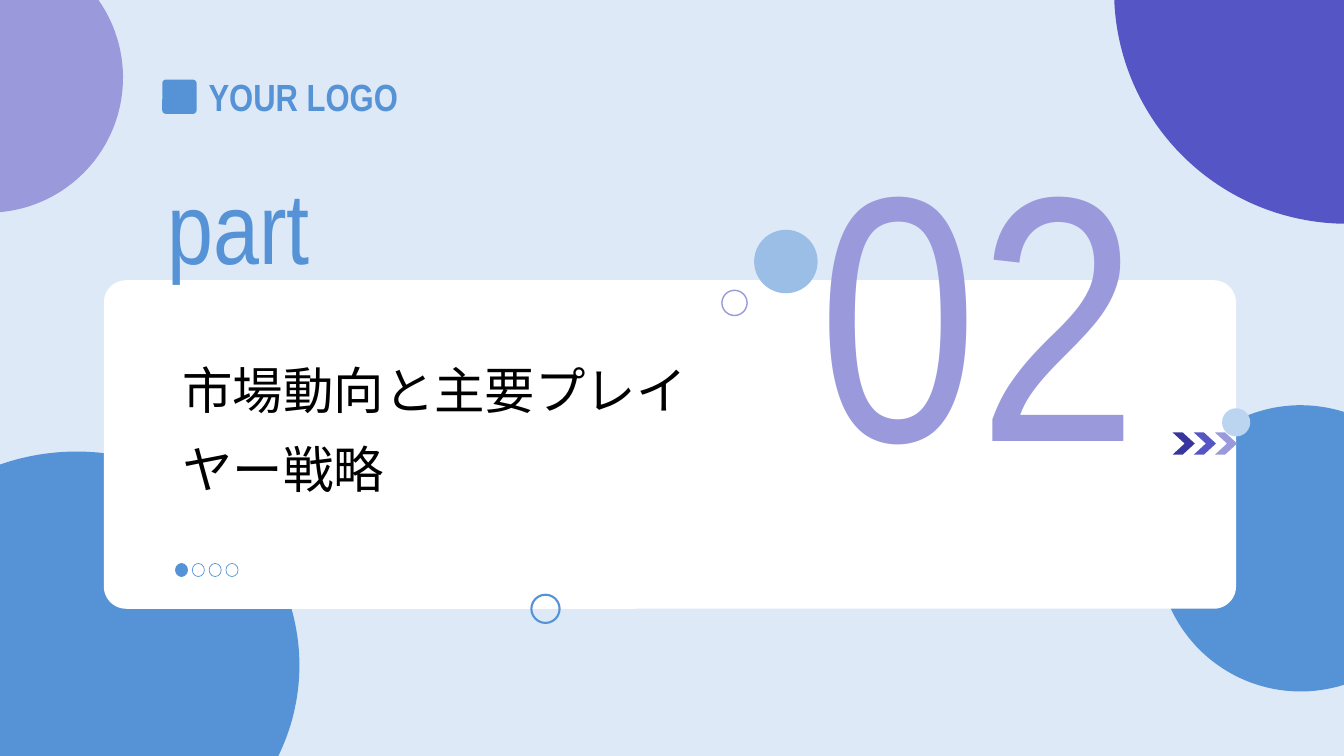
import math
from pptx import Presentation
from pptx import util as u
from pptx.dml.color import RGBColor
from pptx.enum import shapes, text
from pptx.oxml import ns
from lxml import etree

WIDE, HIGH = 13.33, 7.5
BLUE, LILAC, VIOLET, NAVY = "5693D6", "9999DC", "5555C5", "36369E"
SKY, PALE, MIST, WHITE, BLACK = "9ABEE6", "BBD4EF", "DDE9F7", "FFFFFF", "000000"
LATIN, KANJI = "Arial Narrow", "Noto Sans CJK JP"
KIND = shapes.MSO_SHAPE
ALIGN, ANCHOR = text.PP_ALIGN, text.MSO_ANCHOR


def paint(color, value):
    color.rgb = RGBColor.from_string(value)


def write(frame, words, size, color, font=LATIN, bold=False,
          align=ALIGN.LEFT, anchor=ANCHOR.TOP, space=1.1):
    frame.word_wrap = True
    frame.auto_size = text.MSO_AUTO_SIZE.NONE
    frame.vertical_anchor = anchor
    para = frame.paragraphs[0]
    para.alignment, para.line_spacing = align, space
    run = para.add_run()
    run.text = words
    run.font.name, run.font.size, run.font.bold = font, u.Pt(size), bold
    paint(run.font.color, color)
    # East Asian glyphs take their own typeface
    asian = etree.SubElement(run.font._element, ns.qn("a:ea"))
    asian.set("typeface", font)


class Page:
    def __init__(self, deck):
        self.slide = deck.slides.add_slide(deck.slide_layouts[5])
        self.shapes = self.slide.shapes
        back = self.slide.background.fill
        back.solid()
        paint(back.fore_color, MIST)

    def style(self, item, fill=None, line=None, width=1):
        item.shadow.inherit = False
        if fill:
            item.fill.solid()
            paint(item.fill.fore_color, fill)
        else:
            item.fill.background()
        if line:
            paint(item.line.color, line)
            item.line.width = u.Pt(width)
        else:
            item.line.fill.background()

    def shape(self, kind, box, adjust=None, **look):
        item = self.shapes.add_shape(kind, *map(u.Inches, box))
        if adjust is not None:
            item.adjustments[0] = adjust
        self.style(item, **look)

    def arc(self, mid, radii, turn, corners, fill):
        """Part of a disc, closed through slide corners."""
        first, last = map(math.radians, turn)
        steps = 90
        points = []
        for i in range(steps + 1):
            angle = first + (last - first) * i / steps
            points.append((mid[0] + radii[0] * math.cos(angle),
                           mid[1] + radii[1] * math.sin(angle)))
        points = [(u.Inches(x), u.Inches(y)) for x, y in points + corners]
        form = self.shapes.build_freeform(*points[0], scale=1.0)
        form.add_line_segments(points[1:], close=True)
        self.style(form.convert_to_shape(), fill)

    def label(self, box, words, **form):
        item = self.shapes.add_textbox(*map(u.Inches, box))
        write(item.text_frame, words, **form)

    def title(self, box, words, **form):
        item = self.shapes.title
        item.left, item.top, item.width, item.height = map(u.Inches, box)
        write(item.text_frame, words, **form)
        # Bring the title in front of the card
        self.shapes.element.append(item.element)


def main():
    deck = Presentation()
    deck.slide_width, deck.slide_height = u.Inches(WIDE), u.Inches(HIGH)
    page = Page(deck)

    # Discs behind the card
    page.arc((12.9, 5.44), (1.42, 1.42), (72.4, 287.6), [], BLUE)
    page.arc((0.76, 6.6), (2.21, 2.12), (249.9, 385.1), [(0, HIGH)], BLUE)
    page.arc((13.36, -0.09), (2.31, 2.31), (177.8, 90.7), [(WIDE, 0)], VIOLET)
    page.arc((-0.12, 0.77), (1.34, 1.34), (-35.1, 84.9), [(0, 0)], LILAC)

    # Card
    page.shape(KIND.ROUNDED_RECTANGLE, (1.03, 2.78, 11.23, 3.26), 0.068, fill=WHITE)

    # Logo slot
    page.shape(KIND.ROUNDED_RECTANGLE, (1.61, 0.79, 0.34, 0.34), 0.104, fill=BLUE)
    page.label((1.97, 0.66, 2.3, 0.6), "YOUR LOGO", size=27, color=BLUE,
               bold=True, anchor=ANCHOR.MIDDLE, space=1.0)

    # Page dots, the first one filled
    for i in range(4):
        page.shape(KIND.OVAL, (1.74 + i * 0.167, 5.59, 0.12, 0.13),
                   fill=None if i else BLUE, line=BLUE, width=0.5)

    # Heading, part label and number
    page.title((1.71, 2.88, 5.72, 2.57), "市場動向と主要プレイヤー戦略", size=36,
               color=BLACK, font=KANJI, anchor=ANCHOR.MIDDLE, space=1.3)
    page.shape(KIND.OVAL, (5.27, 5.9, 0.28, 0.28), line=BLUE, width=1.5)
    page.shape(KIND.OVAL, (12.12, 4.05, 0.28, 0.28), fill=PALE)
    page.label((7.42, -0.35, 4.57, 5.47), "02", size=250, color=LILAC,
               align=ALIGN.CENTER, anchor=ANCHOR.BOTTOM)
    page.label((1.56, 1.46, 2.45, 1.31), "part", size=72, color=BLUE)

    # Small circles beside the number
    page.shape(KIND.OVAL, (7.48, 2.28, 0.63, 0.63), fill=SKY)
    page.shape(KIND.OVAL, (7.16, 2.88, 0.25, 0.25), line=LILAC)

    # Chevrons
    for i, color in enumerate((NAVY, VIOLET, LILAC)):
        page.shape(KIND.CHEVRON, (11.63 + i * 0.21, 4.29, 0.22, 0.22), 0.544, fill=color)

    deck.save("out.pptx")


if __name__ == "__main__":
    main()
